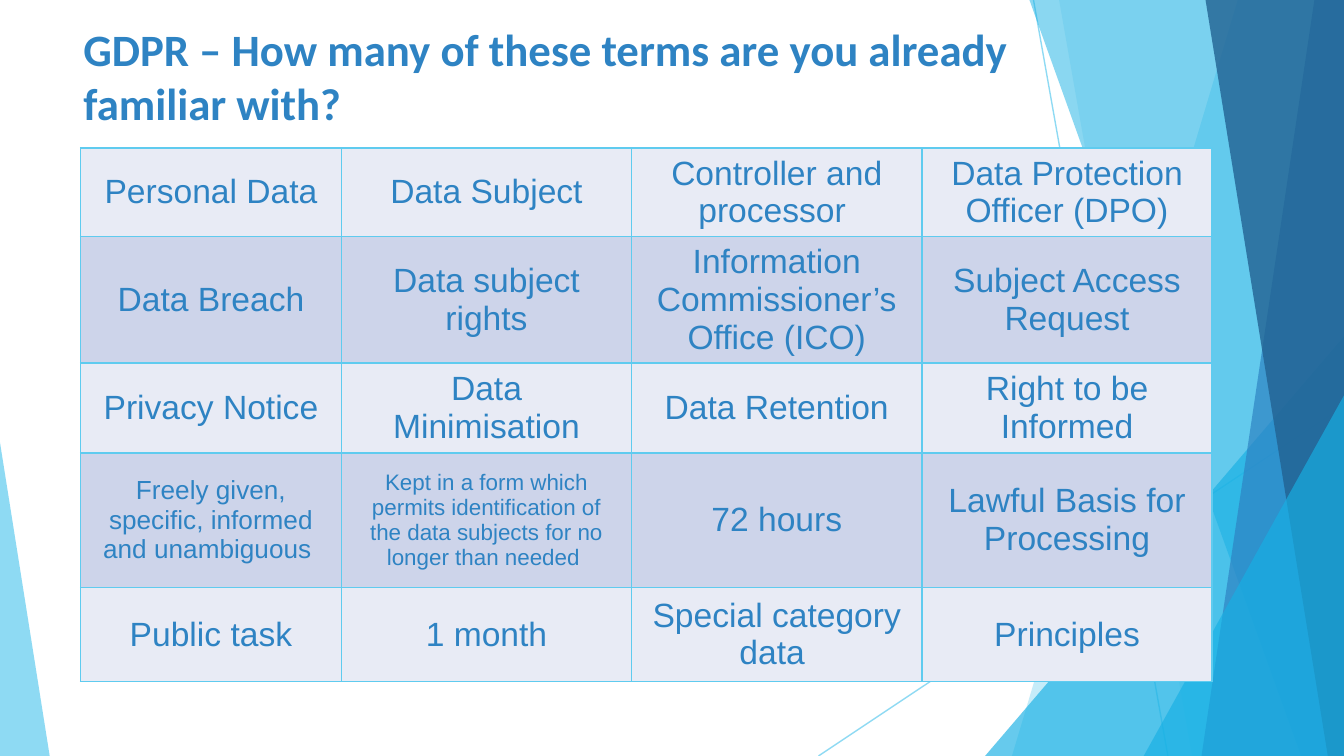
"""Build the GDPR terms slide: a title, a table of terms and a faceted backdrop."""
from typing import NamedTuple

from lxml import etree
from pptx import Presentation
from pptx import util as u
from pptx.dml.color import RGBColor
from pptx.enum import shapes, text
from pptx.oxml import parse_xml
from pptx.oxml.ns import nsdecls, qn

WIDTH, HEIGHT = u.Inches(10), u.Inches(5.625)
SKY, CYAN, BLUE, NAVY = "5FCBEF", "17B0E4", "2E83C3", "226292"
BANDS = ("E8EBF5", "CDD4EA")


class Facet(NamedTuple):
    """Full-height panel reaching the right edge, its slanted side in shares of the width."""
    top: float
    bottom: float
    color: str
    opacity: int


class Wedge(NamedTuple):
    """Right triangle standing on the bottom edge, in shares of the slide."""
    left: float
    width: float
    height: float
    apex: int
    color: str
    opacity: int


class Ray(NamedTuple):
    """Thin line between two points, in shares of the slide."""
    start: tuple[float, float]
    end: tuple[float, float]


BACKDROP = (
    Ray((0.769, 0), (0.869, 1)),
    Ray((1, 0.537), (0.609, 1)),
    Facet(0.921, 0.753, SKY, 36),
    Facet(0.788, 0.887, SKY, 20),
    Wedge(0.733, 0.267, 0.555, 1, CYAN, 66),
    Facet(0.766, 0.968, CYAN, 50),
    Facet(0.978, 0.894, BLUE, 70),
    Facet(0.897, 0.988, NAVY, 80),
    Wedge(0.851, 0.149, 0.477, 1, CYAN, 66),
    Wedge(0, 0.037, 0.415, 0, SKY, 70),
)
TERMS = (
    ("Personal Data", "Data Subject", "Controller and processor ", "Data Protection Officer (DPO)"),
    ("Data Breach", "Data subject rights", "Information Commissioner’s Office (ICO)",
     "Subject Access Request"),
    ("Privacy Notice", "Data Minimisation", "Data Retention", "Right to be Informed"),
    ("Freely given, specific, informed and unambiguous ",
     "Kept in a form which permits identification of the data subjects for no longer than needed ",
     "72 hours", "Lawful Basis for Processing"),
    ("Public task", "1 month", "Special category data ", "Principles"),
)
COLUMNS = (1.94, 2.16, 2.16, 2.16)
ROWS = (0.65, 0.94, 0.67, 1, 0.7)
SMALL_SIZES = {(3, 0): 14, (3, 1): 12}


def paint(target, color: str, opacity: int = 100) -> None:
    """Give a fill a solid colour and an opacity in per cent."""
    target.solid()
    target.fore_color.rgb = RGBColor.from_string(color)
    if opacity < 100:
        for node in target._xPr.iter(qn("a:srgbClr")):
            etree.SubElement(node, qn("a:alpha"), val=str(opacity * 1000))


def format_font(font, **values) -> None:
    """Set font attributes from a dict of values and colour it blue."""
    for name, value in values.items():
        setattr(font, name, value)
    paint(font.fill, BLUE)


def point(x: float, y: float) -> tuple[int, int]:
    """Turn shares of the slide into lengths."""
    return round(x * WIDTH), round(y * HEIGHT)


def finish(shape, color: str, opacity: int) -> None:
    """Fill a backdrop shape and remove its outline and shadow."""
    shape.shadow.inherit = False
    shape.line.fill.background()
    paint(shape.fill, color, opacity)


def draw_facet(slide, facet: Facet) -> None:
    """Draw a slanted panel."""
    builder = slide.shapes.build_freeform(*point(facet.top, 0))
    builder.add_line_segments([point(1, 0), point(1, 1), point(facet.bottom, 1)], close=True)
    finish(builder.convert_to_shape(), facet.color, facet.opacity)


def draw_wedge(slide, wedge: Wedge) -> None:
    """Draw a triangle with its apex above one end of the base."""
    shape = slide.shapes.add_shape(
        shapes.MSO_SHAPE.ISOSCELES_TRIANGLE,
        *point(wedge.left, 1 - wedge.height), *point(wedge.width, wedge.height))
    shape.adjustments[0] = wedge.apex
    finish(shape, wedge.color, wedge.opacity)


def draw_ray(slide, ray: Ray) -> None:
    """Draw a thin translucent line."""
    line = slide.shapes.add_connector(
        shapes.MSO_CONNECTOR.STRAIGHT, *point(*ray.start), *point(*ray.end))
    line.line.width = u.Pt(0.75)
    paint(line.line.fill, SKY, 70)
    etree.SubElement(line._element.spPr, qn("a:effectLst"))


def add_borders(cell) -> None:
    """Draw a thin line on all four sides of a cell."""
    properties = cell._tc.get_or_add_tcPr()
    for index, side in enumerate("LRTB"):
        properties.insert(index, parse_xml(
            f'<a:ln{side} {nsdecls("a")} w="{u.Pt(1)}"><a:solidFill>'
            f'<a:srgbClr val="{SKY}"/></a:solidFill></a:ln{side}>'))


def draw_table(slide) -> None:
    """Draw the banded grid of terms."""
    table = slide.shapes.add_table(
        len(ROWS), len(COLUMNS), u.Inches(0.6), u.Inches(1.1),
        u.Inches(sum(COLUMNS)), u.Inches(sum(ROWS))).table
    table.first_row = table.horz_banding = False
    for column, width in zip(table.columns, COLUMNS):
        column.width = u.Inches(width)
    for i, (row, height) in enumerate(zip(table.rows, ROWS)):
        row.height = u.Inches(height)
        for j, cell in enumerate(row.cells):
            cell.text = TERMS[i][j]
            cell.vertical_anchor = text.MSO_ANCHOR.MIDDLE
            paint(cell.fill, BANDS[i % 2])
            add_borders(cell)
            paragraph = cell.text_frame.paragraphs[0]
            paragraph.alignment = text.PP_ALIGN.CENTER
            format_font(paragraph.runs[0].font, name="Arial",
                        size=u.Pt(SMALL_SIZES.get((i, j), 18)))


def write_title(slide) -> None:
    """Place and format the title."""
    title = slide.shapes.title
    box = {"left": 0.52, "top": 0.11, "width": 7.12, "height": 1.08}
    for name, value in box.items():
        setattr(title, name, u.Inches(value))
    frame = title.text_frame
    frame.text = "GDPR – How many of these terms are you already familiar with?"
    frame.word_wrap = True
    frame.auto_size = text.MSO_AUTO_SIZE.NONE
    frame.vertical_anchor = text.MSO_ANCHOR.TOP
    paragraph = frame.paragraphs[0]
    paragraph.alignment = text.PP_ALIGN.LEFT
    format_font(paragraph.runs[0].font, name="Calibri", size=u.Pt(24), bold=True)


def main() -> None:
    """Build and save the presentation."""
    presentation = Presentation()
    presentation.slide_width, presentation.slide_height = WIDTH, HEIGHT
    slide = presentation.slides.add_slide(presentation.slide_layouts[5])
    painters = {Facet: draw_facet, Wedge: draw_wedge, Ray: draw_ray}
    for item in BACKDROP:
        painters[type(item)](slide, item)
    draw_table(slide)
    write_title(slide)
    presentation.save("out.pptx")


if __name__ == "__main__":
    main()
